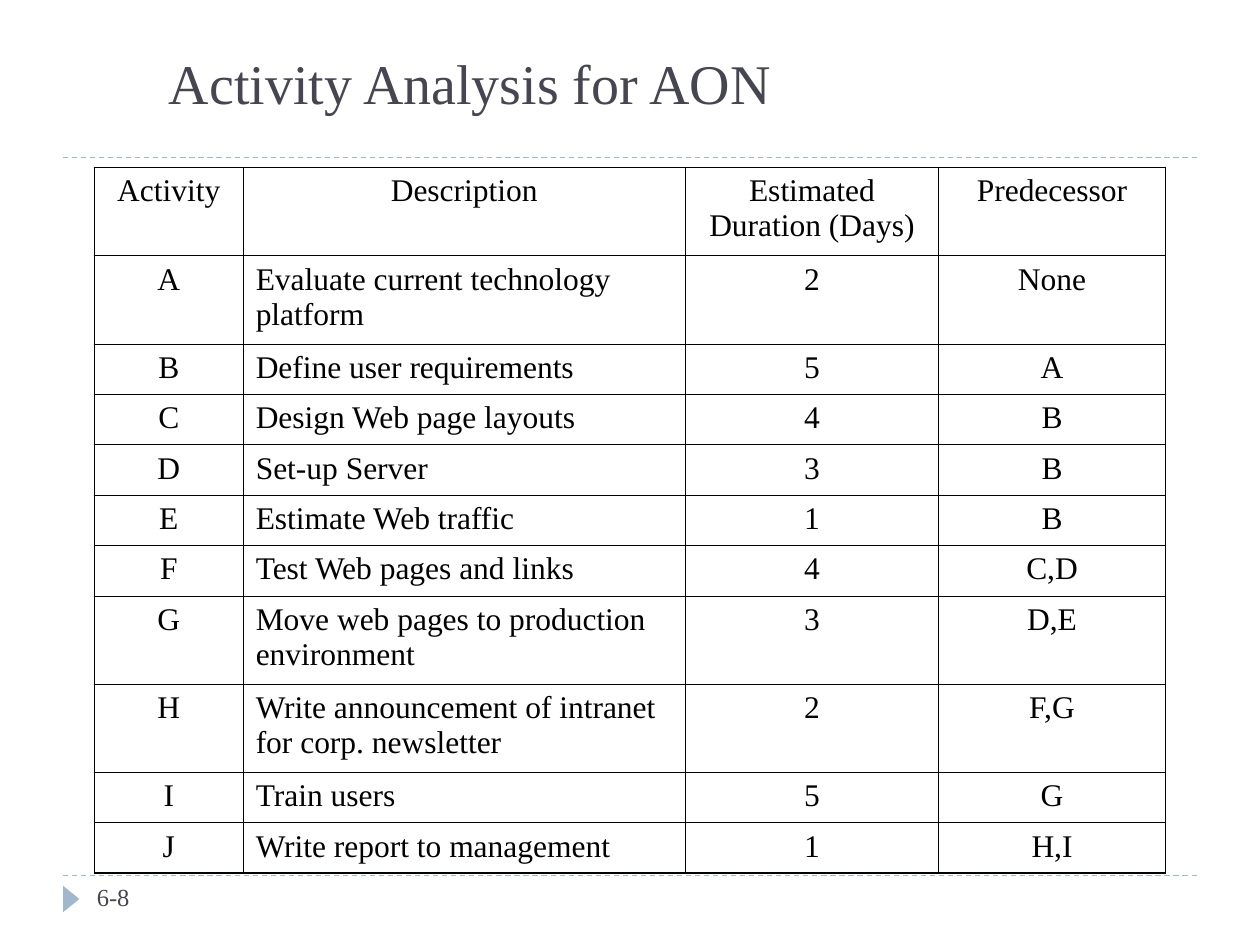
from lxml import etree
from pptx import Presentation
from pptx import util as u
from pptx.dml.color import RGBColor
from pptx.enum import dml, shapes, text
from pptx.oxml.ns import qn

FACE = "Times New Roman"
BLUE, GREY, BLACK = "9FB8CD", "464653", "000000"
WIDTHS = [1.18, 3.51, 2.01, 1.8]
TALL, LOW = 0.7, 0.4
TWO_LINE = (0, 1, 7, 8)
ROWS = [
    ("Activity", "Description", "Estimated Duration (Days)", "Predecessor"),
    ("A", "Evaluate current technology platform", "2", "None"),
    ("B", "Define user requirements", "5", "A"),
    ("C", "Design Web page layouts", "4", "B"),
    ("D", "Set-up Server", "3", "B"),
    ("E", "Estimate Web traffic", "1", "B"),
    ("F", "Test Web pages and links", "4", "C,D"),
    ("G", "Move web pages to production environment", "3", "D,E"),
    ("H", "Write announcement of intranet for corp. newsletter", "2", "F,G"),
    ("I", "Train users", "5", "G"),
    ("J", "Write report to management", "1", "H,I"),
]


def color(code):
    """Turn a hex string into a colour."""
    return RGBColor.from_string(code)


def box(*sizes):
    """Turn numbers into lengths in inches."""
    return [u.Inches(size) for size in sizes]


def write(frame, words, size, code, align=text.PP_ALIGN.LEFT):
    """Put one formatted paragraph into a text frame."""
    frame.text = words
    para = frame.paragraphs[0]
    para.alignment = align
    for name, value in {"name": FACE, "size": u.Pt(size), "bold": False}.items():
        setattr(para.font, name, value)
    para.font.color.rgb = color(code)


def set_title(slide, words):
    """Place and format the title."""
    title = slide.shapes.title
    place = dict(zip(("left", "top", "width", "height"), box(1.24, 0.15, 7.39, 0.82)))
    for name, value in place.items():
        setattr(title, name, value)
    write(title.text_frame, words, 32, GREY)
    look = {
        "vertical_anchor": text.MSO_ANCHOR.BOTTOM,
        "auto_size": text.MSO_AUTO_SIZE.NONE,
        "word_wrap": True,
    }
    for name, value in look.items():
        setattr(title.text_frame, name, value)


def add_rule(slide, top):
    """Draw a dashed rule across the slide."""
    rule = slide.shapes.add_connector(
        shapes.MSO_CONNECTOR.STRAIGHT, *box(0.5, top, 9.5, top))
    rule.line.color.rgb = color(BLUE)
    rule.line.width = u.Pt(0.75)
    rule.line.dash_style = dml.MSO_LINE.DASH
    etree.SubElement(rule._element.spPr, qn("a:effectLst"))


def add_mark(slide):
    """Draw the triangle beside the page number."""
    mark = slide.shapes.add_shape(
        shapes.MSO_SHAPE.ISOSCELES_TRIANGLE, *box(0.46, 7.07, 0.21, 0.13))
    mark.rotation = 90
    mark.shadow.inherit = False
    mark.fill.solid()
    mark.fill.fore_color.rgb = color(BLUE)
    mark.line.fill.background()


def add_edge(cell, side, width):
    """Draw one border of a cell."""
    edge = etree.SubElement(
        cell._tc.get_or_add_tcPr(), qn("a:ln" + side), w=str(u.Pt(width)))
    fill = etree.SubElement(edge, qn("a:solidFill"))
    etree.SubElement(fill, qn("a:srgbClr"), val=BLACK)


def add_grid(slide):
    """Build the activity table."""
    table = slide.shapes.add_table(
        len(ROWS), len(WIDTHS), *box(0.75, 1.33, sum(WIDTHS), 5.6)).table
    table.first_row = table.horz_banding = False
    for col, width in zip(table.columns, WIDTHS):
        col.width = u.Inches(width)
    for i, words in enumerate(ROWS):
        table.rows[i].height = u.Inches(TALL if i in TWO_LINE else LOW)
        for j, word in enumerate(words):
            cell = table.cell(i, j)
            left = i > 0 and j == 1
            align = text.PP_ALIGN.LEFT if left else text.PP_ALIGN.CENTER
            write(cell.text_frame, word, 18, BLACK, align)
            outer = {"L": j == 0, "R": j == len(WIDTHS) - 1,
                     "T": i == 0, "B": i == len(ROWS) - 1}
            for side, rim in outer.items():
                add_edge(cell, side, 1.08 if rim else 0.45)
            cell.fill.background()


def add_page(slide, words):
    """Write the page number."""
    page = slide.shapes.add_textbox(*box(0.67, 6.95, 2.17, 0.4))
    page.text_frame.word_wrap = True
    write(page.text_frame, words, 14, GREY)


def main():
    """Build and save the slide."""
    deck = Presentation()
    deck.slide_width, deck.slide_height = box(10, 7.5)
    slide = deck.slides.add_slide(deck.slide_layouts[5])
    for top in (6.95, 1.25):
        add_rule(slide, top)
    add_mark(slide)
    set_title(slide, "Activity Analysis for AON")
    add_grid(slide)
    add_page(slide, "6-8")
    deck.save("out.pptx")


if __name__ == "__main__":
    main()
